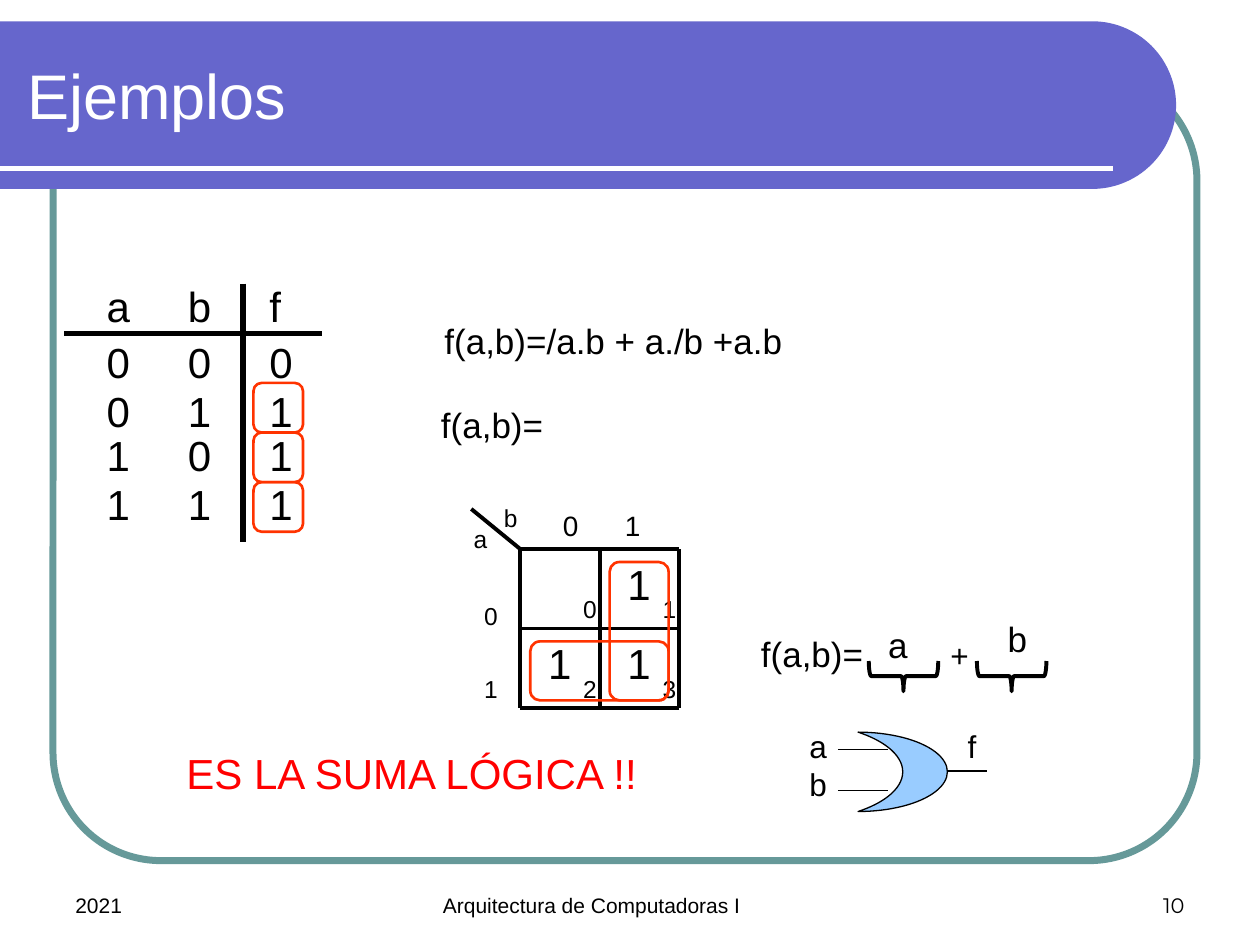
import math

import pptx
import pptx.dml.color
import pptx.enum.shapes
import pptx.enum.text
import pptx.oxml.ns
import pptx.util
from lxml import etree

Cm = pptx.util.Cm
Pt = pptx.util.Pt
RGBColor = pptx.dml.color.RGBColor
SHAPE = pptx.enum.shapes.MSO_SHAPE
ALIGN = pptx.enum.text.PP_ALIGN
ANCHOR = pptx.enum.text.MSO_ANCHOR
qn = pptx.oxml.ns.qn

BLACK = RGBColor(0x00, 0x00, 0x00)
WHITE = RGBColor(0xFF, 0xFF, 0xFF)
TEAL = RGBColor(0x66, 0x99, 0x99)
VIOLET = RGBColor(0x66, 0x66, 0xCC)
ORANGE = RGBColor(0xFF, 0x33, 0x00)
RED = RGBColor(0xFF, 0x00, 0x00)
SKY = RGBColor(0x99, 0xCC, 0xFF)

TITLE = "Ejemplos"
FOOTERS = [
    ("10", 18.2, 5.93, ALIGN.RIGHT, "Montserrat"),
    ("Arquitectura de Computadoras I", 8.68, 8.05, ALIGN.LEFT, "Arial"),
    ("2021", 1.27, 5.93, ALIGN.LEFT, "Arial"),
]
TRUTH_ROWS = [("abf", 5.54), ("000", 6.65), ("011", 7.65), ("101", 8.53), ("111", 9.53)]
TRUTH_STEP = 1.64
TRUTH_RULES = [(1.3, 6.73, 6.5, 6.73), (4.9, 5.72, 4.9, 10.92)]
MINTERM_LEFT, MINTERM_TOP, MINTERM_SIDE = 5.11, 7.72, 1.0

MAP_LEFT, MAP_TOP, CELL = 10.49, 11.07, 1.6
MAP_VALUES = [["", "1"], ["1", "1"]]
MAP_LABELS = [
    (["b"], 9.7, 10.01, 1.19, 0.86, 14, ALIGN.CENTER, 1),
    (["a"], 9.09, 10.44, 1.19, 0.86, 14, ALIGN.CENTER, 1),
    (["0", "1"], 9.3, 11.1, 1.19, 3.0, 14, ALIGN.CENTER, 2.5),
    (["0\t1"], 11.1, 10.13, 2.39, 0.94, 16, ALIGN.LEFT, 1),
]
MAP_LABEL_STEP = 1.25
MAP_LOOPS = [(12.29, 11.33, 1.19, 2.79), (10.69, 12.93, 2.79, 1.19)]

STATEMENTS = [
    ("f(a,b)=", 8.64, 8.0, 2.67, 20, ALIGN.LEFT, BLACK),
    ("f(a,b)=/a.b + a./b +a.b", 8.71, 6.32, 7.39, 20, ALIGN.LEFT, BLACK),
    ("f(a,b)=", 15.09, 12.62, 2.79, 20, ALIGN.LEFT, BLACK),
    ("a", 17.3, 12.45, 1.6, 20, ALIGN.CENTER, BLACK),
    ("+", 18.9, 12.7, 0.89, 18, ALIGN.CENTER, BLACK),
    ("b", 19.71, 12.32, 1.6, 20, ALIGN.CENTER, BLACK),
    ("ES LA SUMA LÓGICA !!", 3.51, 14.94, 10.0, 24, ALIGN.LEFT, RED),
]
BRACE_LEFTS = [17.91, 20.09]
GATE_WIRES = [(19.89, 15.54, 19.1, 15.54), (16.89, 15.11, 17.91, 15.11),
              (16.89, 15.93, 17.91, 15.93)]
GATE_LABELS = [(["f"], 19.1, 14.53, 0.99, 1.02), (["a", "b"], 15.9, 14.53, 1.19, 1.8)]

deck = pptx.Presentation()
deck.slide_width, deck.slide_height = Cm(25.4), Cm(19.05)
slide = deck.slides.add_slide(deck.slide_layouts[5])
shapes = slide.shapes


def apply(target, values):
    for name, value in values.items():
        setattr(target, name, value)


def write(frame, lines, size, color=BLACK, align=ALIGN.LEFT, face="Arial",
          anchor=ANCHOR.TOP, spacing=1, tab_step=0):
    apply(frame, {"word_wrap": True, "vertical_anchor": anchor,
                  "auto_size": pptx.enum.text.MSO_AUTO_SIZE.NONE})
    for number, line in enumerate(lines):
        paragraph = frame.add_paragraph() if number else frame.paragraphs[0]
        apply(paragraph, {"alignment": align, "line_spacing": spacing})
        if tab_step:
            stops = etree.SubElement(paragraph._p.get_or_add_pPr(), qn("a:tabLst"))
            for stop in range(1, line.count("\t") + 1):
                etree.SubElement(stops, qn("a:tab"), pos=str(Cm(tab_step * stop)), algn="l")
        run = paragraph.add_run()
        run.text = line
        apply(run.font, {"size": Pt(size), "name": face})
        run.font.color.rgb = color


def label(lines, left, top, width, height, size, **style):
    box = shapes.add_textbox(Cm(left), Cm(top), Cm(width), Cm(height))
    write(box.text_frame, lines, size, **style)


def rule(ends, weight, color=BLACK):
    line = shapes.add_connector(pptx.enum.shapes.MSO_CONNECTOR.STRAIGHT, *map(Cm, ends))
    line.line.width = Pt(weight)
    line.line.color.rgb = color
    etree.SubElement(line._element.spPr, qn("a:effectLst"))


def paint(shape, fill=None, color=None, weight=0):
    shape.shadow.inherit = False
    if fill is None:
        shape.fill.background()
    else:
        shape.fill.solid()
        shape.fill.fore_color.rgb = fill
    if color is None:
        shape.line.fill.background()
    else:
        shape.line.color.rgb = color
        shape.line.width = Pt(weight)


def outline(kind, place, color, weight, fill=None):
    shape = shapes.add_shape(kind, *map(Cm, place))
    paint(shape, fill, color, weight)
    return shape


frame = outline(SHAPE.ROUNDED_RECTANGLE, (1.07, 1.47, 23.06, 15.88), TEAL, 4)
frame.adjustments[0] = 0.137

cap_x, cap_y, radius = 22.02, 2.12, 1.69
cap = [(Cm(cap_x + radius * math.cos(math.radians(angle))),
        Cm(cap_y + radius * math.sin(math.radians(angle)))) for angle in range(-90, 91, 3)]
banner = shapes.build_freeform(0, Cm(cap_y - radius))
banner.add_line_segments(cap + [(0, Cm(cap_y + radius))], close=True)
paint(banner.convert_to_shape(), VIOLET)
rule((0, 3.39, 22.43, 3.39), 3, WHITE)

title = shapes.title
apply(title, {"left": Cm(0.3), "top": Cm(0.64), "width": Cm(17.6), "height": Cm(2.54)})
write(title.text_frame, [TITLE], 36, color=WHITE, anchor=ANCHOR.MIDDLE)
shapes._spTree.append(title._element)

for text, left, width, align, face in FOOTERS:
    label([text], left, 17.35, width, 1.27, 12, align=align, face=face, anchor=ANCHOR.BOTTOM)

for step in range(3):
    x, y = MAP_LEFT + step * CELL, MAP_TOP + step * CELL
    rule((x, MAP_TOP, x, MAP_TOP + 2 * CELL), 2.25)
    rule((MAP_LEFT, y, MAP_LEFT + 2 * CELL, y), 2.25)
rule((9.5, 10.26, MAP_LEFT, MAP_TOP), 2.25)
for lines, left, top, width, height, size, align, spacing in MAP_LABELS:
    label(lines, left, top, width, height, size, align=align, spacing=spacing,
          tab_step=MAP_LABEL_STEP)
for row, values in enumerate(MAP_VALUES):
    for column, value in enumerate(values):
        x, y = MAP_LEFT + column * CELL, MAP_TOP + row * CELL
        label([str(2 * row + column)], x + 0.81, y + 0.79, 1.19, 0.86, 14, align=ALIGN.CENTER)
        if value:
            label([value], x + 0.2, y + 0.06, 1.19, 1.27, 24, align=ALIGN.CENTER)

for ends in TRUTH_RULES:
    rule(ends, 3)
for values, top in TRUTH_ROWS:
    label(["\t".join(values)], 1.9, top, 4.8, 1.27, 24, tab_step=TRUTH_STEP)

minterms = [(MINTERM_LEFT, MINTERM_TOP + MINTERM_SIDE * row, MINTERM_SIDE, MINTERM_SIDE)
            for row in range(3)]
for place in minterms + MAP_LOOPS:
    outline(SHAPE.ROUNDED_RECTANGLE, place, ORANGE, 1.5)

for text, left, top, width, size, align, color in STATEMENTS:
    label([text], left, top, width, 1.2, size, align=align, color=color)
for left in BRACE_LEFTS:
    outline(SHAPE.LEFT_BRACE, (left, 12.93, 0.61, 1.4), BLACK, 2.25).rotation = 270

gate = outline(SHAPE.MOON, (17.3, 14.76, 1.8, 1.6), BLACK, 0.75, SKY)
gate._element.spPr.find(qn("a:xfrm")).set("flipH", "1")
for ends in GATE_WIRES:
    rule(ends, 0.75)
for lines, left, top, width, height in GATE_LABELS:
    label(lines, left, top, width, height, 18, align=ALIGN.CENTER)

deck.save("out.pptx")
